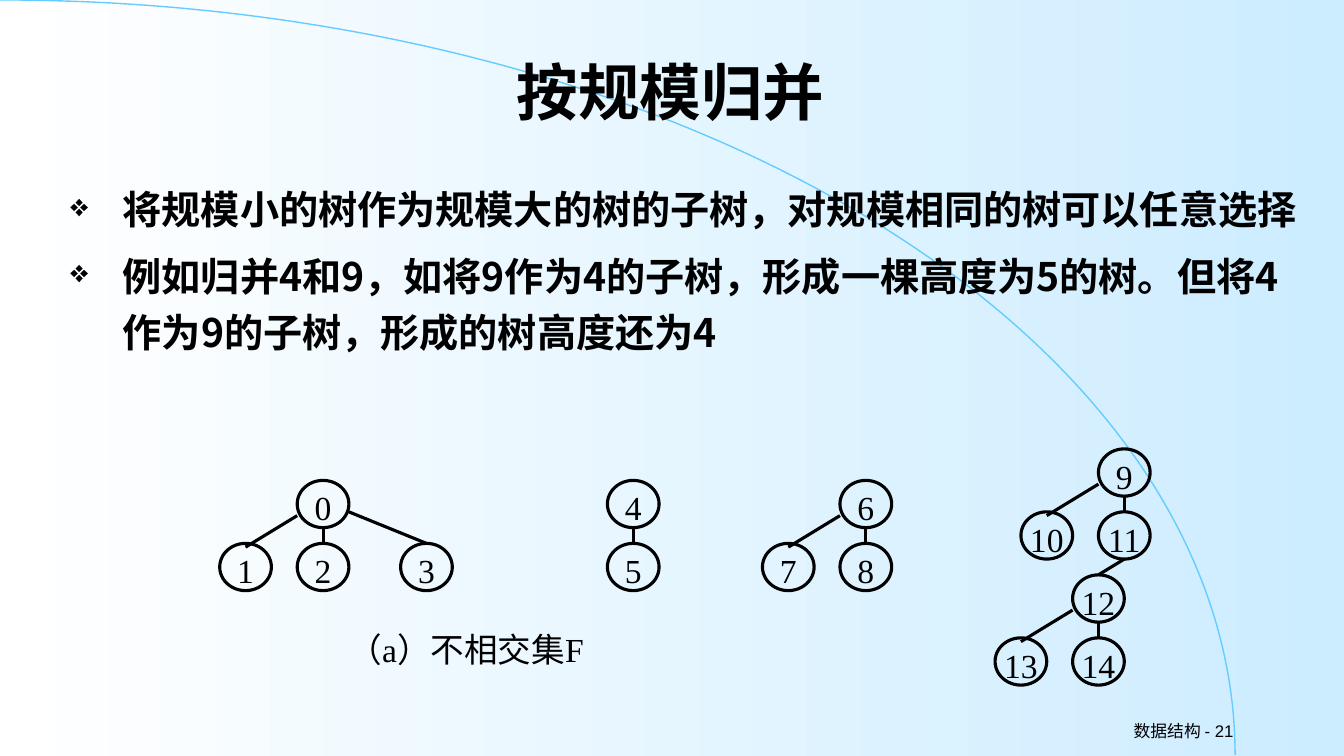
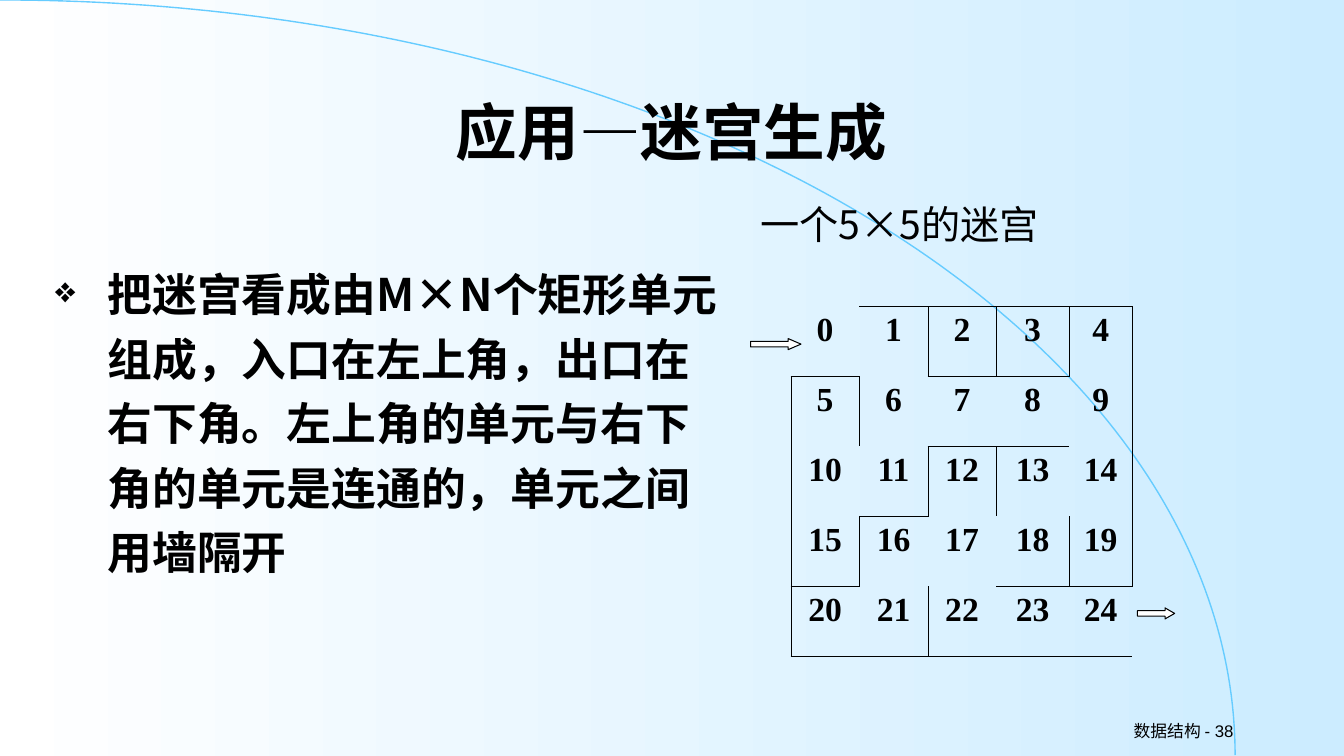
from math import cos, pi, sin

from lxml import etree
from pptx import Presentation
from pptx.dml.color import RGBColor
from pptx.enum.shapes import MSO_CONNECTOR, MSO_SHAPE
from pptx.enum.text import MSO_ANCHOR, PP_ALIGN
from pptx.oxml.ns import qn
from pptx.util import Inches, Pt

BLACK = RGBColor(0x00, 0x00, 0x00)
WHITE = RGBColor(0xFF, 0xFF, 0xFF)
PALE = RGBColor(0xCC, 0xEC, 0xFF)
SKY = RGBColor(0x66, 0xCC, 0xFF)

OVAL, ARROW = MSO_SHAPE.OVAL, MSO_SHAPE.RIGHT_ARROW
STRAIGHT = MSO_CONNECTOR.STRAIGHT
TOP, MIDDLE = MSO_ANCHOR.TOP, MSO_ANCHOR.MIDDLE
LEFT, CENTER, RIGHT = PP_ALIGN.LEFT, PP_ALIGN.CENTER, PP_ALIGN.RIGHT
JUSTIFY = PP_ALIGN.JUSTIFY

WIDTH, HEIGHT = Inches(13.34), Inches(7.5)
COL, ROW = WIDTH / 52, HEIGHT / 24
HANG = Inches(0.52)
NOTO, ARIAL, TIMES = "Noto Sans CJK SC", "Arial", "Times New Roman"

TITLE = {"size": Pt(44), "name": NOTO, "bold": True}
FOOTER = {"size": Pt(12), "name": ARIAL}
LABEL = {"size": Pt(24), "name": TIMES}
CELL = {**LABEL, "bold": True}
NOTE = {"size": Pt(28), "name": NOTO}
BODY = {**NOTE, "bold": True}
LARGE = {**BODY, "size": Pt(32)}

NODES = {
    0: (11.5, 15.25), 1: (8.5, 17.25), 2: (11.5, 17.25), 3: (15.5, 17.25),
    4: (23.5, 15.25), 5: (23.5, 17.25),
    6: (32.5, 15.25), 7: (29.5, 17.25), 8: (32.5, 17.25),
    9: (42.5, 14.25), 10: (39.5, 16.25), 11: (42.5, 16.25),
    12: (41.5, 18.25), 13: (38.5, 20.25), 14: (41.5, 20.25),
}
EDGES = [(0, 1), (0, 2), (0, 3), (4, 5), (6, 7), (6, 8),
         (9, 10), (9, 11), (11, 12), (12, 13), (12, 14)]
WALLS = [
    "b tr ltrb ltrb ltr",
    "ltr l tb tb r",
    "l rb ltr lt r",
    "lrb lt - rb lrb",
    "ltb rb lb tb tb",
]
SIDES = {"l": "a:lnL", "r": "a:lnR", "t": "a:lnT", "b": "a:lnB"}


def place(col, row):
    return round(col * COL), round(row * ROW)


def frame(col, row, wide, high):
    return *place(col, row), *place(wide, high)


def node(root, tag, **attrs):
    return etree.SubElement(root, qn(tag), **attrs)


class Deck:
    def __init__(self):
        self.file = Presentation()
        self.file.slide_width, self.file.slide_height = WIDTH, HEIGHT
        self.slide = None

    @property
    def shapes(self):
        return self.slide.shapes

    def page(self, number):
        self.slide = self.file.slides.add_slide(self.file.slide_layouts[6])
        fill = self.slide.background.fill
        fill.gradient()
        fill.gradient_angle = 0
        for stop, place_at, color in zip(fill.gradient_stops, (0, 1), (WHITE, PALE)):
            stop.position, stop.color.rgb = place_at, color
        self.curve()
        self.text((37.27, 22.66, 10.84, 1.06), [f"数据结构 - {number}"],
                  FOOTER, RIGHT, MIDDLE)

    def curve(self):
        angles = [pi * step / 240 for step in range(121)]
        dots = [place(47.79 * sin(a), 23.97 * (1 - cos(a))) for a in angles]
        path = self.shapes.build_freeform(*dots[0])
        path.add_line_segments(dots[1:], close=False)
        self.paint(path.convert_to_shape(), None, SKY, 1)

    def paint(self, shape, fill, line, width):
        shape.shadow.inherit = False
        if fill is None:
            shape.fill.background()
        else:
            shape.fill.solid()
            shape.fill.fore_color.rgb = fill
        shape.line.color.rgb, shape.line.width = line, Pt(width)

    def run(self, para, words, style):
        run = para.add_run()
        run.text = words
        for key, value in style.items():
            setattr(run.font, key, value)
        run.font.color.rgb = BLACK
        node(run._r.get_or_add_rPr(), "a:ea", typeface=NOTO)

    def text(self, area, paras, style, align=LEFT, anchor=TOP, side=0.1):
        box = self.shapes.add_textbox(*frame(*area)).text_frame
        form = {"word_wrap": True, "vertical_anchor": anchor,
                "margin_left": Inches(side), "margin_right": Inches(side)}
        for key, value in form.items():
            setattr(box, key, value)
        for index, words in enumerate(paras):
            para = box.add_paragraph() if index else box.paragraphs[0]
            para.alignment = align
            self.run(para, words, style)
        return box

    def title(self, area, words):
        return self.text(area, [words], TITLE, CENTER, MIDDLE)

    def bullets(self, area, paras, style):
        box = self.text(area, paras, style)
        for index, para in enumerate(box.paragraphs):
            props = para._p.get_or_add_pPr()
            props.set("marL", str(HANG))
            props.set("indent", str(-HANG))
            tint = node(props, "a:buClr")
            node(tint, "a:srgbClr", val=str(BLACK))
            node(props, "a:buSzPct", val="80000")
            node(props, "a:buChar", char="❖")
            para.line_spacing = Pt(round(style["size"].pt * 1.44, 1))
            para.space_before = Pt(7 if index else 0)

    def ball(self, key):
        shape = self.shapes.add_shape(OVAL, *frame(*NODES[key], 2, 1.5))
        self.paint(shape, None, BLACK, 2.25)
        box = shape.text_frame
        form = {"word_wrap": False, "vertical_anchor": TOP, "margin_left": 0,
                "margin_right": 0, "margin_top": 0, "margin_bottom": 0}
        for name, value in form.items():
            setattr(box, name, value)
        box.paragraphs[0].alignment = CENTER
        self.run(box.paragraphs[0], str(key), LABEL)

    def edge(self, head, child):
        (left, top), (col, row) = NODES[head], NODES[child]
        gap = col - left
        if abs(gap) < 2:
            start, end = (left + 1, top + 1.5), (col + 1, row)
        else:
            dip = 0.12 if gap < 0 else 0
            start = (left if gap < 0 else left + 2, top + 1 + dip)
            end = (col + 1, row + dip)
        line = self.shapes.add_connector(STRAIGHT, *place(*start), *place(*end))
        line.line.color.rgb, line.line.width = BLACK, Pt(2.25)
        node(line._element.spPr, "a:effectLst")

    def arrow(self, area, tip):
        shape = self.shapes.add_shape(ARROW, *frame(*area))
        shape.adjustments[0], shape.adjustments[1] = 0.5, tip
        self.paint(shape, WHITE, BLACK, 0.75)

    def wall(self, cell, sides):
        props = cell._tc.get_or_add_tcPr()
        for side, tag in SIDES.items():
            line = node(props, tag, w=str(Pt(0.45)))
            if side in sides:
                fill = node(line, "a:solidFill")
                node(fill, "a:srgbClr", val=str(BLACK))
            else:
                node(line, "a:noFill")
        cell.fill.background()

    def maze(self, col, row, wides, high):
        size = len(WALLS)
        area = frame(col, row, sum(wides), high * size)
        table = self.shapes.add_table(size, len(wides), *area).table
        table.first_row = table.horz_banding = False
        for column, wide in zip(table.columns, wides):
            column.width = round(wide * COL)
        for r, line in enumerate(WALLS):
            table.rows[r].height = round(high * ROW)
            for c, sides in enumerate(line.split()):
                cell = table.cell(r, c)
                self.wall(cell, sides)
                para = cell.text_frame.paragraphs[0]
                para.alignment = CENTER
                self.run(para, str(r * len(wides) + c), CELL)


def main():
    deck = Deck()

    deck.page(21)
    deck.title((9.39, 0.9, 33.13, 4), "按规模归并")
    deck.bullets((2.34, 5.44, 48.41, 6.05), [
        "将规模小的树作为规模大的树的子树，对规模相同的树可以任意选择",
        "例如归并4和9，如将9作为4的子树，形成一棵高度为5的树。"
        "但将4作为9的子树，形成的树高度还为4",
    ], BODY)
    for key in NODES:
        deck.ball(key)
    for pair in EDGES:
        deck.edge(*pair)
    deck.text((13.49, 19.81, 14.97, 2.02), ["（a）不相交集F"], LABEL, JUSTIFY, side=0)

    deck.page(38)
    head = deck.title((3.9, 2.14, 44.16, 4), "应用").paragraphs[0]
    deck.run(head, "—", TITLE)
    deck.run(head, "迷宫生成", TITLE)
    for run in head.runs[::2]:
        run.font.name = ARIAL
    deck.bullets((1.75, 7.97, 27.01, 14.4), [
        "把迷宫看成由M×N个矩形单元组成，入口在左上角，出口在右下角。"
        "左上角的单元与右下角的单元是连通的，单元之间用墙隔开",
    ], LARGE)
    deck.text((29.04, 6.21, 15.51, 1.82), ["一个5×5的迷宫"], NOTE)
    deck.arrow((29.04, 10.75, 1.95, 0.35), 1.16)
    deck.arrow((44.01, 19.3, 1.44, 0.35), 0.87)
    deck.maze(30.6, 9.73, (2.65, 2.65, 2.65, 2.81, 2.46), 2.22)

    deck.file.save("out.pptx")


if __name__ == "__main__":
    main()
